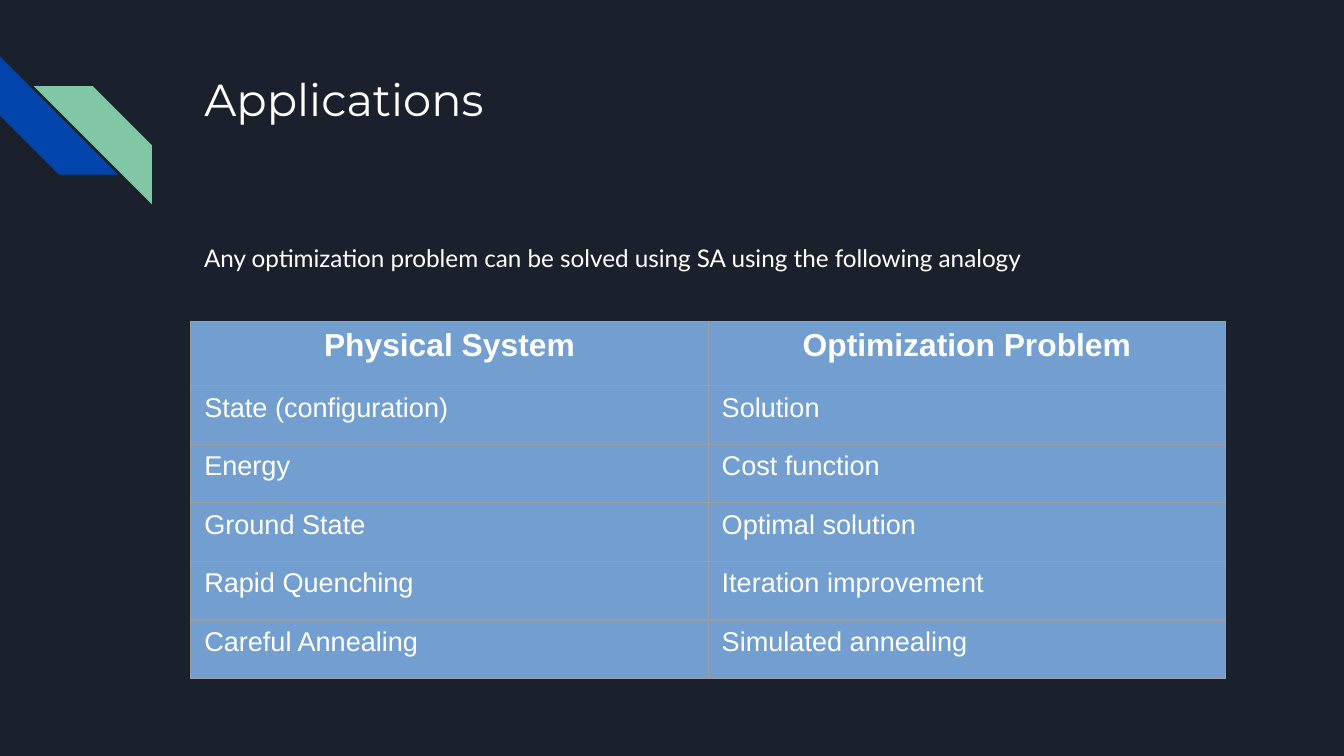
import pptx
import pptx.util
import pptx.dml.color
import pptx.enum.shapes
import pptx.enum.text
import pptx.oxml.ns
import lxml.etree

Inches = pptx.util.Inches
Pt = pptx.util.Pt
ALIGN = pptx.enum.text.PP_ALIGN

BACKGROUND, WHITE, CELL_FILL, BORDER = "1B212C", "FFFFFF", "729FCF", "9E9E9E"
LEFT, WIDTH = 1.42, 7.7
TITLE = "Applications"
INTRO = "Any optimization problem can be solved using SA using the following analogy"
ANALOGY = [
    ("Physical System", "Optimization Problem"),
    ("State (configuration)", "Solution"),
    ("Energy", "Cost function"),
    ("Ground State", "Optimal solution"),
    ("Rapid Quenching", "Iteration improvement"),
    ("Careful Annealing", "Simulated annealing"),
]
STRIPES = [(0, 0.42, 270, False, "0145AC"), (0.25, 0.64, 0, True, "82C7A5")]
STRIPE_SIZE = 0.88
TABLE_TOP, TABLE_HEIGHT, HEADER_HEIGHT = 2.39, 2.66, 0.48


def color(value):
    return pptx.dml.color.RGBColor.from_string(value)


def paint(fill, value):
    fill.solid()
    fill.fore_color.rgb = color(value)


def write(text_frame, text, font, size, bold=False, align=ALIGN.LEFT):
    paragraph = text_frame.paragraphs[0]
    paragraph.alignment = align
    run = paragraph.add_run()
    run.text = text
    run.font.name = font
    run.font.size = Pt(size)
    run.font.bold = bold
    run.font.color.rgb = color(WHITE)


def set_frame(text_frame):
    text_frame.word_wrap = True
    text_frame.auto_size = pptx.enum.text.MSO_AUTO_SIZE.NONE
    text_frame.vertical_anchor = pptx.enum.text.MSO_ANCHOR.TOP
    text_frame.margin_left = text_frame.margin_right = Inches(0.1)
    text_frame.margin_top = text_frame.margin_bottom = Inches(0.1)


def add_borders(cell):
    properties = cell._tc.get_or_add_tcPr()
    qn = pptx.oxml.ns.qn
    for side in ("lnL", "lnR", "lnT", "lnB"):
        line = lxml.etree.SubElement(properties, qn("a:" + side), w=str(Pt(0.75)))
        fill = lxml.etree.SubElement(line, qn("a:solidFill"))
        lxml.etree.SubElement(fill, qn("a:srgbClr"), val=BORDER)


def add_stripes(slide):
    kind = pptx.enum.shapes.MSO_SHAPE.DIAGONAL_STRIPE
    size = Inches(STRIPE_SIZE)
    for left, top, rotation, flipped, fill in STRIPES:
        stripe = slide.shapes.add_shape(kind, Inches(left), Inches(top), size, size)
        stripe.adjustments[0] = 0.5
        stripe.rotation = rotation
        stripe.shadow.inherit = False
        stripe.line.fill.background()
        paint(stripe.fill, fill)
        if flipped:
            stripe._element.spPr.xfrm.set("flipH", "1")


def add_analogy_table(slide):
    rows, columns = len(ANALOGY), len(ANALOGY[0])
    row_height = (TABLE_HEIGHT - HEADER_HEIGHT) / (rows - 1)
    table = slide.shapes.add_table(
        rows, columns, Inches(LEFT), Inches(TABLE_TOP), Inches(WIDTH), Inches(TABLE_HEIGHT)
    ).table
    for column in table.columns:
        column.width = Inches(WIDTH / columns)
    for index, texts in enumerate(ANALOGY):
        header = index == 0
        table.rows[index].height = Inches(HEADER_HEIGHT if header else row_height)
        for cell, text in zip(table.rows[index].cells, texts):
            cell.margin_left = cell.margin_right = Inches(0.1)
            cell.margin_top = cell.margin_bottom = Inches(0.05)
            add_borders(cell)
            paint(cell.fill, CELL_FILL)
            write(cell.text_frame, text, "Arial", 17 if header else 14.5, header,
                  ALIGN.CENTER if header else ALIGN.LEFT)


def main():
    presentation = pptx.Presentation()
    presentation.slide_width = Inches(10)
    presentation.slide_height = Inches(10 * 9 / 16)
    slide = presentation.slides.add_slide(presentation.slide_layouts[5])
    paint(slide.background.fill, BACKGROUND)
    add_stripes(slide)

    title = slide.shapes.title
    title.left, title.top = Inches(LEFT), Inches(0.43)
    title.width, title.height = Inches(WIDTH), Inches(1)
    set_frame(title.text_frame)
    write(title.text_frame, TITLE, "Montserrat", 24)

    intro = slide.shapes.add_textbox(Inches(LEFT), Inches(1.71), Inches(WIDTH), Inches(3.18))
    set_frame(intro.text_frame)
    write(intro.text_frame, INTRO, "Lato", 13)

    add_analogy_table(slide)
    presentation.save("out.pptx")


if __name__ == "__main__":
    main()
